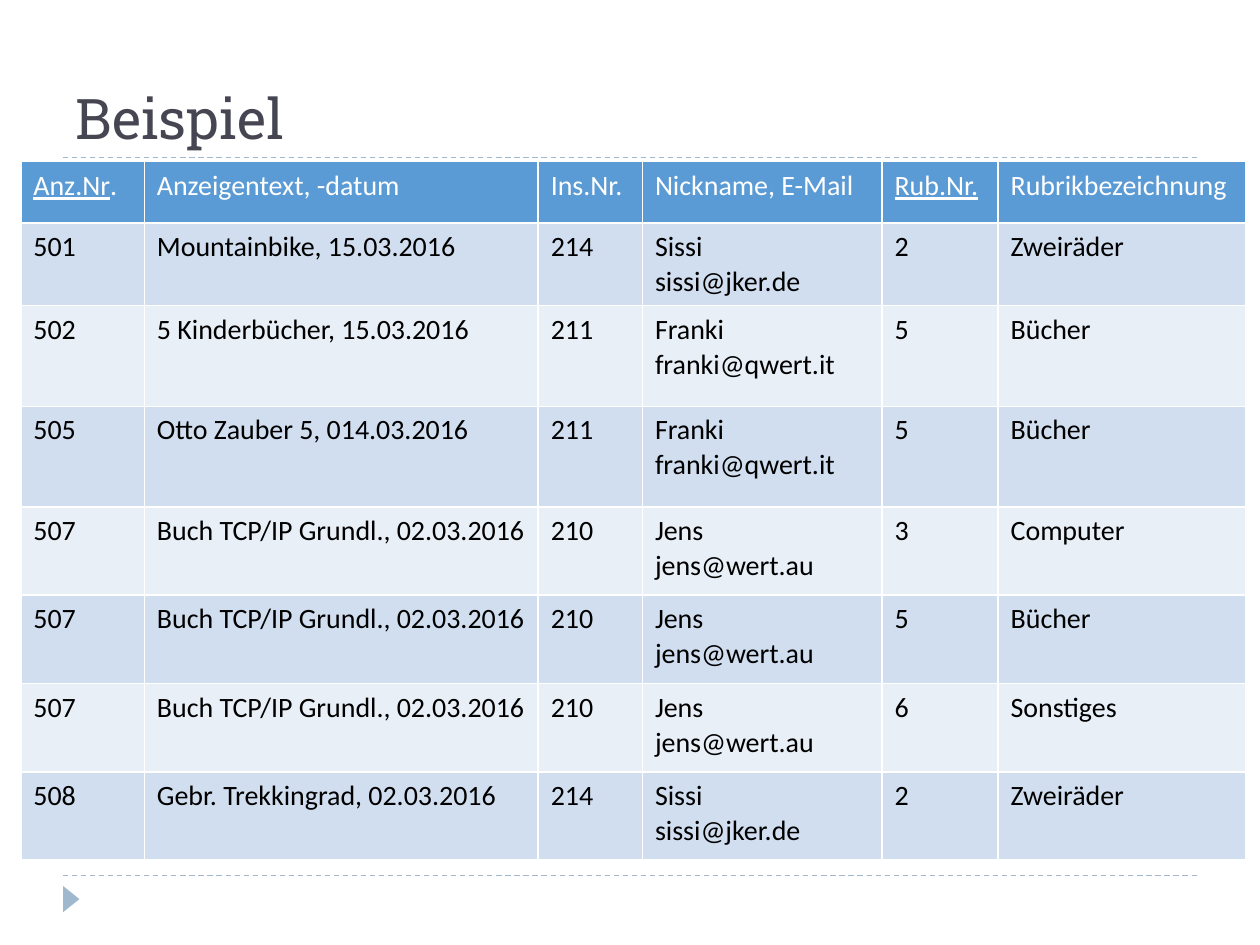
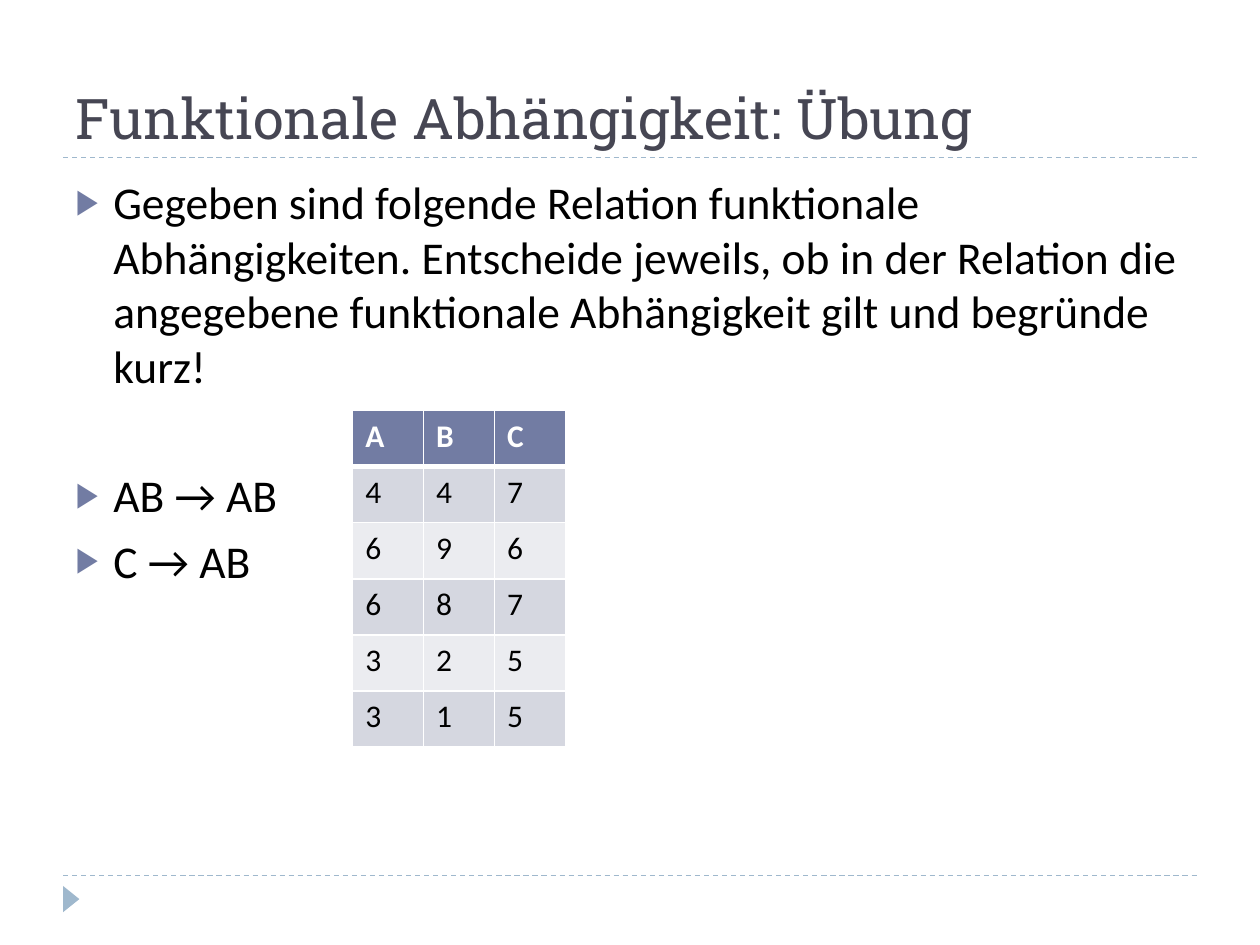
from lxml import etree
from pptx import Presentation
from pptx.dml.color import RGBColor
from pptx.enum.dml import MSO_LINE
from pptx.enum.shapes import MSO_CONNECTOR, MSO_SHAPE
from pptx.enum.text import MSO_ANCHOR, MSO_AUTO_SIZE, PP_ALIGN
from pptx.oxml.ns import qn
from pptx.util import Cm, Pt

STRAIGHT = MSO_CONNECTOR.STRAIGHT
TRIANGLE = MSO_SHAPE.ISOSCELES_TRIANGLE
DASH = MSO_LINE.DASH
BOTTOM, TOP = MSO_ANCHOR.BOTTOM, MSO_ANCHOR.TOP
LEFT = PP_ALIGN.LEFT
NO_FIT = MSO_AUTO_SIZE.NONE

TITLE_FONT, TEXT_FONT = "Roboto Slab", "Calibri"
TITLE_COLOR, ACCENT, RULE_COLOR = "464653", "727CA3", "9FB8CD"
BLACK, WHITE = "000000", "FFFFFF"
BLUE_BANDS = ("5B9BD5", "D1DEEF", "E9EFF7")
GREY_BANDS = (ACCENT, "D5D7E0", "EBECF0")
MARGIN, CONTENT_WIDTH = 1.27, 22.86

SISSI = "Sissi\nsissi@jker.de"
FRANKI = "Franki\nfranki@qwert.it"
JENS = "Jens\njens@wert.au"
GRUNDLAGEN = "Buch TCP/IP Grundl., 02.03.2016"
ANZEIGEN = [
    ("Anz.Nr", "Anzeigentext, -datum", "Ins.Nr.", "Nickname, E-Mail", "Rub.Nr.", "Rubrikbezeichnung"),
    ("501", "Mountainbike, 15.03.2016", "214", SISSI, "2", "Zweiräder"),
    ("502", "5 Kinderbücher, 15.03.2016", "211", FRANKI, "5", "Bücher"),
    ("505", "Otto Zauber 5, 014.03.2016", "211", FRANKI, "5", "Bücher"),
    ("507", GRUNDLAGEN, "210", JENS, "3", "Computer"),
    ("507", GRUNDLAGEN, "210", JENS, "5", "Bücher"),
    ("507", GRUNDLAGEN, "210", JENS, "6", "Sonstiges"),
    ("508", "Gebr. Trekkingrad, 02.03.2016", "214", SISSI, "2", "Zweiräder"),
]
RELATION = ["ABC", "447", "696", "687", "325", "315"]
AUFGABE = (
    "Gegeben sind folgende Relation funktionale Abhängigkeiten. Entscheide jeweils, "
    "ob in der Relation die angegebene funktionale Abhängigkeit gilt und begründe kurz!"
)


def rgb(value):
    return RGBColor.from_string(value)


def style_font(font, size, color, name=TEXT_FONT, bold=False):
    font.name = name
    font.size = Pt(size)
    font.bold = bold
    font.color.rgb = rgb(color)


def place(shape, left, top, width, height):
    shape.left, shape.top = Cm(left), Cm(top)
    shape.width, shape.height = Cm(width), Cm(height)


def add_rule(slide, y):
    rule = slide.shapes.add_connector(
        STRAIGHT, Cm(MARGIN), Cm(y), Cm(MARGIN + CONTENT_WIDTH), Cm(y))
    rule.line.color.rgb = rgb(RULE_COLOR)
    rule.line.width = Pt(0.75)
    rule.line.dash_style = DASH
    etree.SubElement(rule.element.spPr, qn("a:effectLst"))
    return rule


def add_footer_mark(slide):
    mark = slide.shapes.add_shape(TRIANGLE, Cm(1.17), Cm(17.96), Cm(0.53), Cm(0.33))
    mark.rotation = 90
    mark.shadow.inherit = False
    mark.fill.solid()
    mark.fill.fore_color.rgb = rgb(RULE_COLOR)
    mark.line.fill.background()
    return mark


def decorate_master(prs, slide):
    for decoration in (add_rule(slide, 17.65), add_rule(slide, 3.18), add_footer_mark(slide)):
        prs.slide_master.shapes.element.append(decoration.element)


def add_titled_slide(prs, layout_index, heading):
    slide = prs.slides.add_slide(prs.slide_layouts[layout_index])
    title = slide.shapes.title
    place(title, MARGIN, 0.43, CONTENT_WIDTH, 2.74)
    frame = title.text_frame
    frame.text = heading
    frame.auto_size = NO_FIT
    frame.vertical_anchor = BOTTOM
    paragraph = frame.paragraphs[0]
    paragraph.alignment = LEFT
    style_font(paragraph.runs[0].font, 32, TITLE_COLOR, TITLE_FONT)
    return slide


def set_bullet(paragraph):
    props = paragraph._p.get_or_add_pPr()
    props.set("marL", str(Cm(0.76)))
    props.set("indent", str(-Cm(0.76)))
    color = etree.SubElement(props, qn("a:buClr"))
    etree.SubElement(color, qn("a:srgbClr"), val=ACCENT)
    etree.SubElement(props, qn("a:buSzPct"), val="76000")
    etree.SubElement(props, qn("a:buFont"), typeface="Arial")
    etree.SubElement(props, qn("a:buChar"), char="▶")


def fill_bullets(body, items):
    place(body, MARGIN, 3.38, CONTENT_WIDTH, 13.72)
    frame = body.text_frame
    frame.text = "\n".join(text for text, _ in items)
    frame.auto_size = NO_FIT
    frame.vertical_anchor = TOP
    for paragraph, (_, gap) in zip(frame.paragraphs, items):
        paragraph.space_before = Pt(gap)
        set_bullet(paragraph)
        style_font(paragraph.runs[0].font, 26, BLACK)


def set_borders(cell, width, bottom_width):
    props = cell._tc.get_or_add_tcPr()
    for side in ("L", "R", "T", "B"):
        points = bottom_width if side == "B" else width
        border = etree.SubElement(props, qn(f"a:ln{side}"), w=str(Pt(points)))
        fill = etree.SubElement(border, qn("a:solidFill"))
        etree.SubElement(fill, qn("a:srgbClr"), val=WHITE)


def add_banded_table(slide, rows, left, top, widths, heights, bands, size,
                     bold_header=False, header_rule=1, spacing=1.0):
    table = slide.shapes.add_table(
        len(rows), len(widths), Cm(left), Cm(top), Cm(sum(widths)), Cm(sum(heights))).table
    for column, width in zip(table.columns, widths):
        column.width = Cm(width)
    for index, (values, height) in enumerate(zip(rows, heights)):
        table.rows[index].height = Cm(height)
        header = index == 0
        band = bands[0] if header else bands[2 - index % 2]
        for cell, value in zip(table.rows[index].cells, values):
            set_borders(cell, 1, header_rule if header else 1)
            cell.fill.solid()
            cell.fill.fore_color.rgb = rgb(band)
            cell.text_frame.text = value
            for paragraph in cell.text_frame.paragraphs:
                paragraph.line_spacing = spacing
                style_font(paragraph.runs[0].font, size, WHITE if header else BLACK,
                           bold=header and bold_header)
    return table


def underline_keys(table, columns):
    for column in columns:
        table.cell(0, column).text_frame.paragraphs[0].runs[0].font.underline = True
    period = table.cell(0, 0).text_frame.paragraphs[0].add_run()
    period.text = "."
    style_font(period.font, 16, WHITE)


def main():
    prs = Presentation()
    prs.slide_width, prs.slide_height = Cm(25.4), Cm(19.05)

    example = add_titled_slide(prs, 5, "Beispiel")
    decorate_master(prs, example)
    ads = add_banded_table(
        example, ANZEIGEN, 0.42, 3.26, [2.49, 7.94, 2.1, 4.83, 2.34, 5.0],
        [1.24, 1.57] + [2.03] * 2 + [1.78] * 4, BLUE_BANDS, 16, spacing=1.02)
    underline_keys(ads, (0, 4))

    exercise = add_titled_slide(prs, 1, "Funktionale Abhängigkeit: Übung")
    fill_bullets(exercise.placeholders[1], [(AUFGABE, 6), ("AB → AB", 43), ("C → AB", 6)])
    add_banded_table(exercise, RELATION, 7.11, 8.28, [1.43] * 3, [1.13] * 6,
                     GREY_BANDS, 18, bold_header=True, header_rule=3)

    prs.save("out.pptx")


if __name__ == "__main__":
    main()
